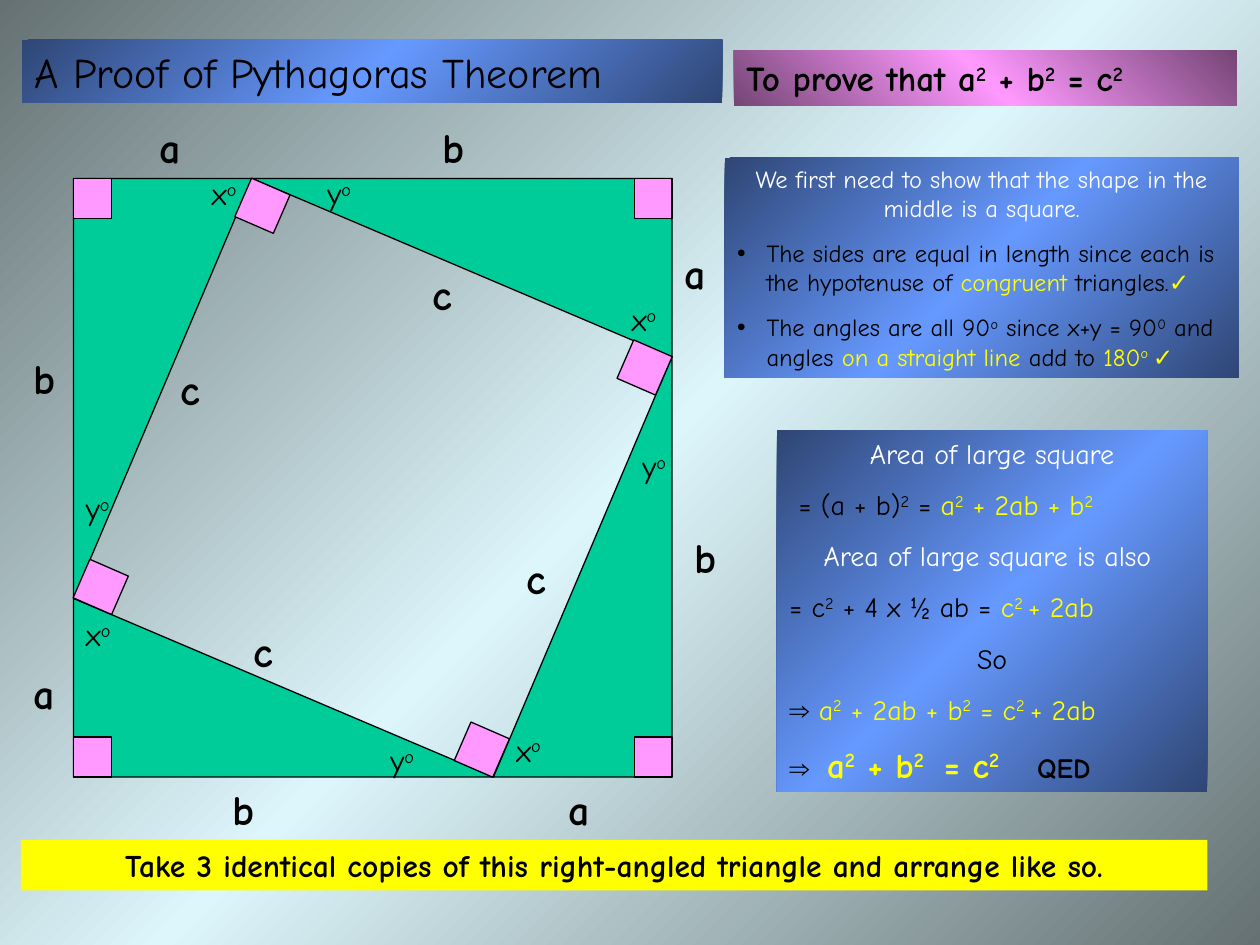
from copy import deepcopy

from lxml import etree
from pptx import Presentation
from pptx import util as u
from pptx.dml.color import RGBColor
from pptx.enum import shapes, text
from pptx.oxml.ns import qn

PX = 7620  # EMU in one px, 120 px to the inch
COLORS = {
    "black": "000000", "white": "FFFFFF", "yellow": "FFFF00",
    "green": "00CC99", "pink": "FF99FF", "plum": "754675",
    "navy": "2F4675", "blue": "6699FF", "slate": "657173", "ice": "DDF6FB",
}
FRAME = {
    "word_wrap": True,
    "auto_size": text.MSO_AUTO_SIZE.NONE,
    "vertical_anchor": text.MSO_ANCHOR.TOP,
}
LEFT, CENTER = text.PP_ALIGN.LEFT, text.PP_ALIGN.CENTER
BLUE_BAND = ("navy", "blue", 225)
BULLET_INDENT = 28

# Large square, cut by four triangles with legs a and b
SQUARE_LEFT, SQUARE_TOP = 70, 170
LEG_A, LEG_B = 170, 400
SIDE = LEG_A + LEG_B
MARK_WIDTH, MARK_HEIGHT = 36, 38
TILTED_MARK, TILT = 40, 293.5
TILTED_MARKS = [(439, 694), (230, 176), (76, 539), (594, 330)]
# Label positions of each triangle, keyed by its quarter turns
LABELS = {
    0: {"a": (20, 630), "b": (210, 740), "c": (230, 590), "x": (70, 580), "y": (360, 700)},
    3: {"a": (530, 740), "b": (650, 500), "c": (490, 520), "x": (480, 690), "y": (600, 420)},
    1: {"a": (140, 110), "b": (20, 330), "c": (160, 340), "x": (190, 160), "y": (70, 460)},
    2: {"a": (640, 230), "b": (410, 110), "c": (400, 250), "x": (590, 280), "y": (300, 160)},
}

SQUARE_PROOF = [
    (CENTER, [("We first need to show that the shape in the middle is a square.", "white")]),
    (LEFT, [
        ("The sides are equal in length since each is the hypotenuse of ", "black"),
        ("congruent", "yellow"), (" triangles.", "black"),
        ("✓", "yellow", {"name": "Arial"})]),
    (LEFT, [
        ("The angles are all 90^o^ since x+y = 90^0^ and angles ", "black"),
        ("on a straight line", "yellow"), (" add to ", "black"),
        ("180^o ^", "yellow"), ("✓", "yellow", {"name": "Arial"})]),
]
BIG = {"size": u.Pt(20), "bold": True}
AREA_PROOF = [
    (CENTER, [("Area of large square", "white")]),
    (LEFT, [(" = (a + b)^2^ = ", "black"), ("a^2^ + 2ab + b^2^", "yellow")]),
    (CENTER, [("Area of large square is also ", "white")]),
    (LEFT, [("= c^2^ + 4 x ½ ab = ", "black"), ("c^2 ^+ 2ab", "yellow")]),
    (CENTER, [("So", "black")]),
    (LEFT, [("⇒", "black", {"name": "Arial"}), (" a^2^ + 2ab + b^2^ = c^2 ^+ 2ab", "yellow")]),
    (LEFT, [("⇒\t", "black", {"name": "Arial"}), ("a^2^ + b^2 ^ = c^2^", "yellow", BIG),
            ("\tQED", "black", {"bold": True})]),
]


def rgb(name):
    return RGBColor.from_string(COLORS[name])


def box(*lengths):
    return [u.Emu(length * PX) for length in lengths]


def place(shape, *lengths):
    shape.left, shape.top, shape.width, shape.height = box(*lengths)


def paint_band(fill, element, edge, middle, angle):
    """Fill with a gradient that runs edge, middle, edge; angle is clockwise."""
    fill.gradient()
    fill.gradient_angle = 360 - angle
    stop_list = next(element.iter(qn("a:gsLst")))
    stop_list.append(deepcopy(stop_list[-1]))
    for stop, color, position in zip(fill.gradient_stops, (edge, middle, edge), (0, 0.5, 1)):
        stop.color.rgb = rgb(color)
        stop.position = position


def set_bullet(paragraph, bulleted):
    properties = paragraph._p.get_or_add_pPr()
    indent = BULLET_INDENT * PX if bulleted else 0
    properties.set("marL", str(indent))
    properties.set("indent", str(-indent))
    if bulleted:
        color = etree.SubElement(properties, qn("a:buClr"))
        etree.SubElement(color, qn("a:srgbClr"), val=COLORS["black"])
        etree.SubElement(properties, qn("a:buChar"), char="•")
    else:
        etree.SubElement(properties, qn("a:buNone"))


def set_tabs(paragraph, *positions):
    tab_list = etree.SubElement(paragraph._p.get_or_add_pPr(), qn("a:tabLst"))
    for position in positions:
        etree.SubElement(tab_list, qn("a:tab"), pos=str(position * PX), algn="l")


def add_runs(paragraph, markup, color, font_format):
    """Add markup as runs; whatever stands between two ^ is superscript."""
    for index, part in enumerate(markup.split("^")):
        if not part:
            continue
        run = paragraph.add_run()
        run.text = part
        for name, value in font_format.items():
            setattr(run.font, name, value)
        run.font.color.rgb = rgb(color)
        if index % 2:
            run._r.get_or_add_rPr().set("baseline", "30000")


def write(shape, paragraphs, size, bold=False, gap=0):
    frame = shape.text_frame
    for name, value in FRAME.items():
        setattr(frame, name, value)
    base = {"name": "Comic Neue", "size": u.Pt(size), "bold": bold}
    for index, (alignment, runs) in enumerate(paragraphs):
        paragraph = frame.add_paragraph() if index else frame.paragraphs[0]
        paragraph.alignment = alignment
        paragraph.space_before = u.Pt(gap if index else 0)
        for markup, color, *changes in runs:
            add_runs(paragraph, markup, color, {**base, **(changes[0] if changes else {})})


def add_panel(parent, kind, lengths, color=None, outlined=False, rotation=0):
    shape = parent.add_shape(kind, *box(*lengths))
    shape.shadow.inherit = False
    shape.rotation = rotation
    if color:
        shape.fill.solid()
        shape.fill.fore_color.rgb = rgb(color)
    if outlined:
        shape.line.color.rgb = rgb("black")
        shape.line.width = u.Pt(0.75)
    else:
        shape.line.fill.background()
    return shape


def add_mark(parent, lengths, rotation=0):
    add_panel(parent, shapes.MSO_SHAPE.RECTANGLE, lengths, "pink", True, rotation)


def add_triangle(slide, turns, labels):
    """Add one triangle, turned clockwise about the centre of the large square."""
    group = slide.shapes.add_group_shape().shapes
    x, y = -LEG_A // 2, LEG_B // 2
    for _ in range(turns):
        x, y = -y, x
    left = SQUARE_LEFT + (SIDE - LEG_B) // 2 + x
    top = SQUARE_TOP + (SIDE - LEG_A) // 2 + y
    add_panel(group, shapes.MSO_SHAPE.RIGHT_TRIANGLE, (left, top, LEG_B, LEG_A),
              "green", True, turns * 90)
    mark_left = SQUARE_LEFT + (SIDE - MARK_WIDTH) * (turns in (2, 3))
    mark_top = SQUARE_TOP + (SIDE - MARK_HEIGHT) * (turns in (0, 3))
    add_mark(group, (mark_left, mark_top, MARK_WIDTH, MARK_HEIGHT))
    for name, position in labels.items():
        is_angle = name in "xy"
        label = group.add_textbox(*box(*position, *((70, 48) if is_angle else (50, 60))))
        markup = f"{name}^o^" if is_angle else name
        write(label, [(LEFT, [(markup, "black")])], 18 if is_angle else 24, not is_angle)


def add_text_panels(slide):
    title, body = slide.shapes.title, slide.placeholders[1]
    place(title, 21, 38, 667, 60)
    write(title, [(LEFT, [("A Proof of Pythagoras Theorem", "black")])], 24)
    place(body, 690, 150, 490, 210)
    write(body, SQUARE_PROOF, 14, gap=8.8)
    for index, paragraph in enumerate(body.text_frame.paragraphs):
        set_bullet(paragraph, index > 0)

    rectangle = shapes.MSO_SHAPE.RECTANGLE
    goal = add_panel(slide.shapes, rectangle, (699, 48, 479, 53))
    write(goal, [(LEFT, [("To prove that a^2^ + b^2^ = c^2^", "black")])], 20, True)
    area = add_panel(slide.shapes, rectangle, (740, 410, 410, 344))
    write(area, AREA_PROOF, 16, gap=10)
    set_tabs(area.text_frame.paragraphs[-1], 36, 236)
    for shape in (title, body, area):
        paint_band(shape.fill, shape.element, *BLUE_BAND)
    paint_band(goal.fill, goal.element, "plum", "pink", 135)

    banner = add_panel(slide.shapes, rectangle, (20, 800, 1130, 48), "yellow")
    write(banner, [(CENTER, [(
        "Take 3 identical copies of this right-angled triangle and arrange like so.",
        "black")])], 18, True)


def main():
    presentation = Presentation()
    presentation.slide_width, presentation.slide_height = box(1200, 900)
    slide = presentation.slides.add_slide(presentation.slide_layouts[1])
    paint_band(slide.background.fill, slide.element, "slate", "ice", 225)
    add_text_panels(slide)
    for turns, labels in LABELS.items():
        add_triangle(slide, turns, labels)
    tilted_group = slide.shapes.add_group_shape().shapes
    for position in TILTED_MARKS:
        add_mark(tilted_group, (*position, TILTED_MARK, TILTED_MARK), TILT)
    presentation.save("out.pptx")


if __name__ == "__main__":
    main()
